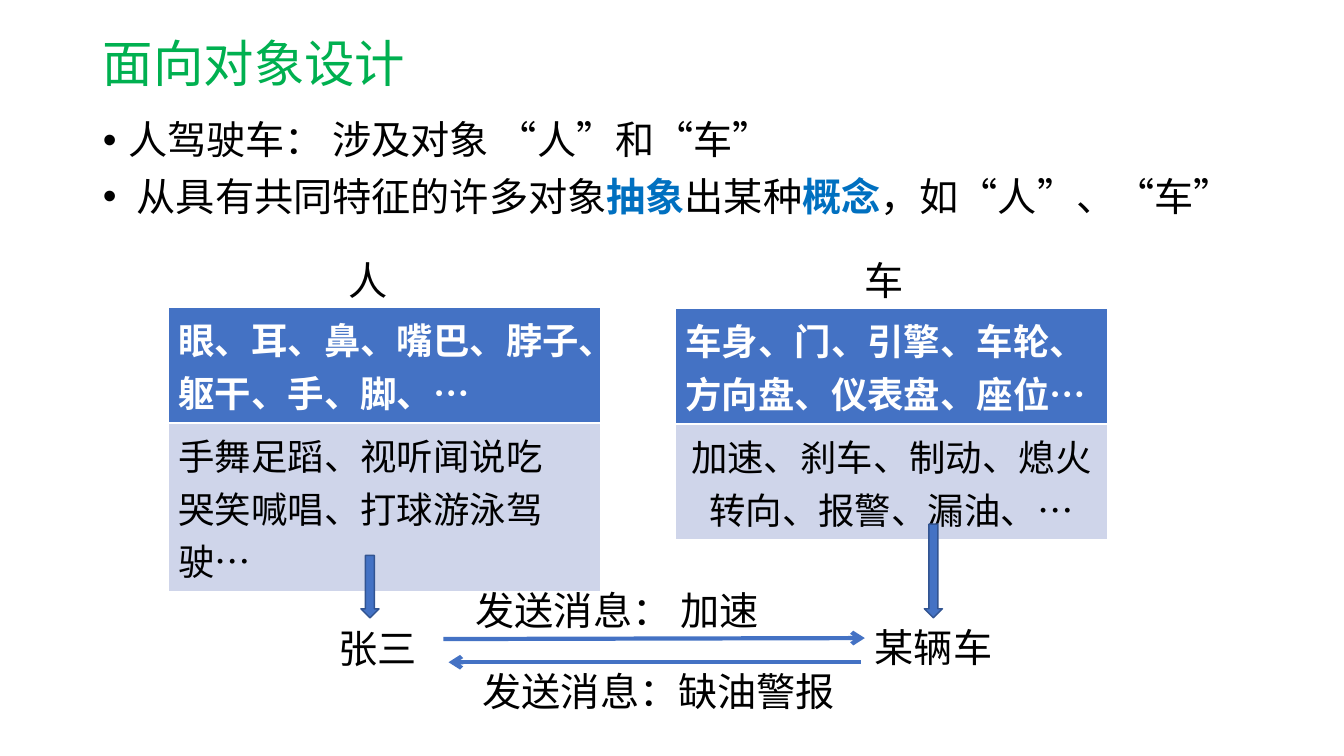
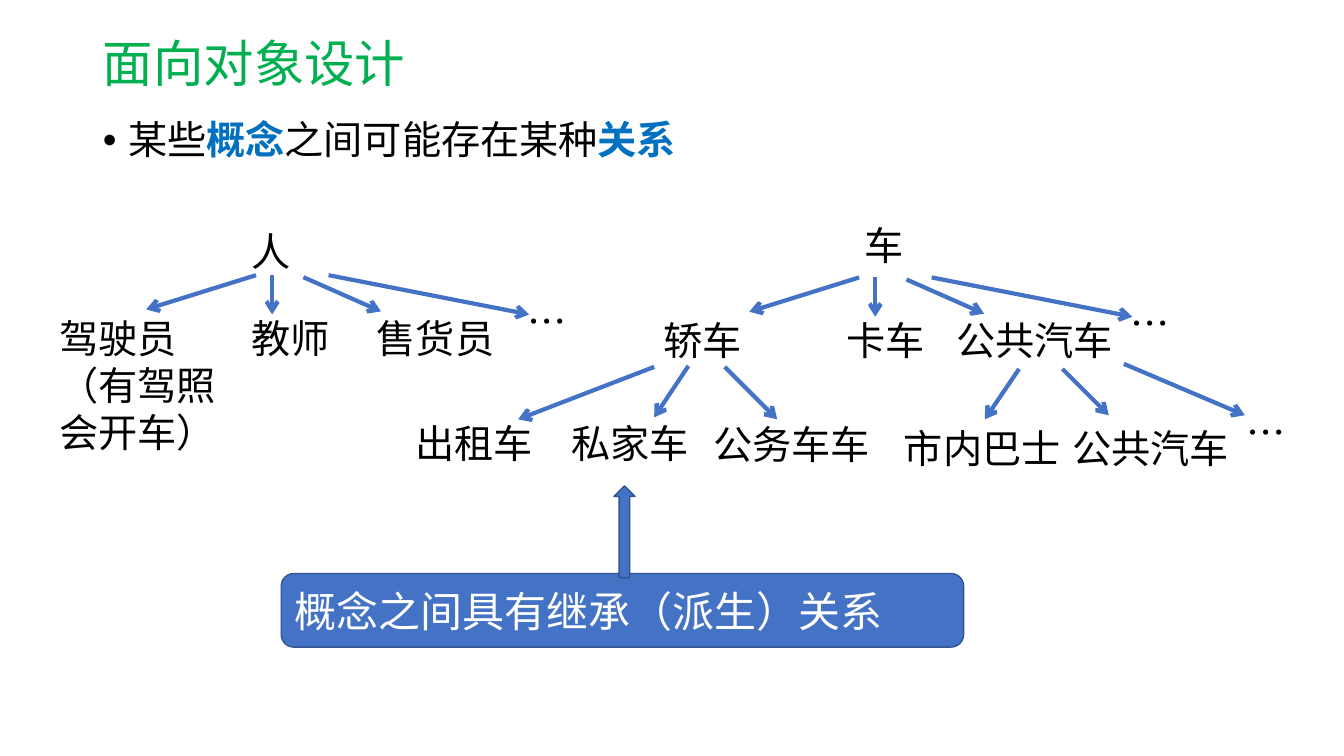
from dataclasses import dataclass

from lxml.etree import SubElement
from pptx import Presentation
from pptx.dml.color import RGBColor
from pptx.enum.lang import MSO_LANGUAGE_ID
from pptx.enum.shapes import MSO_CONNECTOR, MSO_SHAPE
from pptx.enum.text import MSO_ANCHOR, MSO_AUTO_SIZE, PP_ALIGN
from pptx.oxml.ns import qn
from pptx.util import Inches, Pt

WIDTH, HEIGHT = Inches(13.333), Inches(7.5)
COLUMNS, ROWS = 40, 30
LABEL_ROWS = 2.28


@dataclass(frozen=True)
class Theme:
    title: str = "00B050"
    text: str = "000000"
    emphasis: str = "0070C0"
    accent: str = "4472C4"
    outline: str = "325491"
    pale: str = "CFD5EA"
    inverse: str = "FFFFFF"
    title_size: int = 36
    callout_size: int = 30
    body_size: int = 28
    table_size: int = 26
    title_font: str = "Open Sans"
    body_font: str = "Noto Sans"
    label_font: str = "Noto Sans CJK SC"
    block_font: str = "Calibri"
    asian_font: str = "Noto Sans CJK SC"


THEME = Theme()


def col(n):
    return round(WIDTH * n / COLUMNS)


def row(n):
    return round(HEIGHT * n / ROWS)


def box(x, y, w, h):
    """Turn grid columns and rows into left, top, width and height."""
    return col(x), row(y), col(w), row(h)


def rgb(color):
    return RGBColor.from_string(color)


def format_run(r, size, font, color=THEME.text, bold=False):
    r.font.size = Pt(size)
    r.font.name = font
    r.font.bold = bold
    r.font.color.rgb = rgb(color)
    r.font.language_id = MSO_LANGUAGE_ID.SIMPLIFIED_CHINESE
    SubElement(r.font._element, qn("a:ea"), typeface=THEME.asian_font)


def format_frame(tf, size, font, color=THEME.text, bold=False, align=PP_ALIGN.LEFT):
    for p in tf.paragraphs:
        p.alignment = align
        for r in p.runs:
            format_run(r, size, font, color, bold)


def place(sp, bounds):
    sp.left, sp.top, sp.width, sp.height = bounds
    sp.text_frame.auto_size = MSO_AUTO_SIZE.NONE


def add_bullet(p, text):
    """Fill a bulleted paragraph; parts between asterisks are emphasised."""
    for i, part in enumerate(text.split("*")):
        if part:
            r = p.add_run()
            r.text = part
            strong = i % 2 == 1
            format_run(r, THEME.body_size, THEME.body_font,
                       THEME.emphasis if strong else THEME.text, strong)
    p.line_spacing = 0.9
    p.space_before = Pt(10)
    pPr = p._p.get_or_add_pPr()
    pPr.set("marL", str(Inches(0.25)))
    pPr.set("indent", str(-Inches(0.25)))
    SubElement(pPr, qn("a:buFont"), typeface="Arial")
    SubElement(pPr, qn("a:buChar"), char="•")


def add_slide(prs, bullets, body_rows):
    s = prs.slides.add_slide(prs.slide_layouts[1])
    title, body = s.placeholders
    place(title, box(2.76, 1.04, 34.5, 3.16))
    title.text_frame.text = "面向对象设计"
    title.text_frame.vertical_anchor = MSO_ANCHOR.MIDDLE
    title.text_frame.paragraphs[0].line_spacing = 0.9
    format_frame(title.text_frame, THEME.title_size, THEME.title_font, THEME.title)
    place(body, box(2.76, 4.6, 34.5, body_rows))
    tf = body.text_frame
    for i, text in enumerate(bullets):
        add_bullet(tf.add_paragraph() if i else tf.paragraphs[0], text)
    return s


def add_label(s, text, x, y, w, h=LABEL_ROWS, font=THEME.label_font):
    tf = s.shapes.add_textbox(*box(x, y, w, h)).text_frame
    tf.word_wrap = True
    tf.auto_size = MSO_AUTO_SIZE.SHAPE_TO_FIT_TEXT
    tf.text = text
    format_frame(tf, THEME.body_size, font)


def add_block(s, kind, x, y, w, h):
    sp = s.shapes.add_shape(kind, *box(x, y, w, h))
    sp.shadow.inherit = False
    sp.fill.solid()
    sp.fill.fore_color.rgb = rgb(THEME.accent)
    sp.line.color.rgb = rgb(THEME.outline)
    sp.line.width = Pt(1)
    return sp


def add_callout(s, text, x, y, w, h):
    sp = add_block(s, MSO_SHAPE.ROUNDED_RECTANGULAR_CALLOUT, x, y, w, h)
    for i, value in enumerate((0, -0.5, 0.17)):
        sp.adjustments[i] = value
    tf = sp.text_frame
    tf.word_wrap = True
    tf.vertical_anchor = MSO_ANCHOR.MIDDLE
    tf.text = text
    format_frame(tf, THEME.callout_size, THEME.block_font, THEME.inverse)


def add_arrow(s, x1, y1, x2, y2):
    c = s.shapes.add_connector(MSO_CONNECTOR.STRAIGHT,
                               col(x1), row(y1), col(x2), row(y2))
    c.line.color.rgb = rgb(THEME.accent)
    c.line.width = Pt(3)
    SubElement(c.line._get_or_add_ln(), qn("a:tailEnd"), type="arrow")
    SubElement(c._element.spPr, qn("a:effectLst"))


def add_class_table(s, x, y, attributes, methods, method_align):
    """Show a class as its attributes above its methods."""
    table = s.shapes.add_table(2, 1, *box(x, y, 12.87, 8.56)).table
    styles = ((attributes, THEME.accent, THEME.inverse, True, PP_ALIGN.LEFT),
              (methods, THEME.pale, THEME.text, False, method_align))
    for i, (text, fill, color, bold, align) in enumerate(styles):
        cell = table.cell(i, 0)
        cell.text = text
        cell.fill.solid()
        cell.fill.fore_color.rgb = rgb(fill)
        format_frame(cell.text_frame, THEME.table_size, THEME.block_font,
                     color, bold, align)


def add_branch(s, labels, arrows, dx=0, dy=0):
    """Draw child labels and the arrows to them, the arrows moved by dx, dy."""
    for label in labels:
        add_label(s, *label)
    for x1, y1, x2, y2 in arrows:
        add_arrow(s, x1 + dx, y1 + dy, x2 + dx, y2 + dy)


def build_message_slide(prs):
    s = add_slide(prs, ["人驾驶车： 涉及对象 “人”和“车”",
                        " 从具有共同特征的许多对象*抽象*出某种*概念*，如“人”、“车”"], 5.92)
    add_class_table(s, 5.01, 12.2, "眼、耳、鼻、嘴巴、脖子、躯干、手、脚、…",
                    "手舞足蹈、视听闻说吃\n哭笑喊唱、打球游泳驾驶…", PP_ALIGN.LEFT)
    add_class_table(s, 20.1, 12.24, "车身、门、引擎、车轮、方向盘、仪表盘、座位…",
                    "加速、刹车、制动、熄火\n转向、报警、漏油、…", PP_ALIGN.CENTER)
    for label in (("人", 10.08, 9.96, 3.12), ("车", 25.44, 9.96, 3.12),
                  ("张三", 9.78, 24.56, 3.12), ("某辆车", 25.74, 24.52, 4.65)):
        add_label(s, *label)
    add_block(s, MSO_SHAPE.DOWN_ARROW, 10.74, 22.04, 0.54, 2.48)
    add_block(s, MSO_SHAPE.DOWN_ARROW, 27.51, 20.8, 0.54, 3.72)
    add_arrow(s, 13.2, 25.36, 25.74, 25.32)
    add_label(s, "发送消息： 加速", 13.86, 23.08, 10.29, font=THEME.block_font)
    add_label(s, "发送消息：缺油警报", 14.07, 26.28, 11.4, font=THEME.block_font)
    add_arrow(s, 25.62, 26.28, 13.35, 26.28)


def build_inheritance_slide(prs):
    s = add_slide(prs, ["某些*概念*之间可能存在某种*关系*"], 2.8)
    add_label(s, "人", 7.2, 8.84, 3.12)
    add_label(s, "车", 25.44, 8.6, 3.12)
    fan = ((7.62, 10.92, 4.35, 12.28), (8.1, 10.92, 8.1, 12.48),
           (9.03, 11, 11.34, 12.36), (9.78, 10.92, 15.75, 12.48))
    people = (("驾驶员\n（有驾照会开车）", 1.47, 12.28, 5.73, 6.04),
              ("教师", 7.2, 12.28, 3.69), ("售货员", 10.92, 12.28, 4.83),
              ("…", 15.42, 11.6, 1.8))
    cars = (("轿车", 19.44, 12.36, 5.73), ("卡车", 24.9, 12.36, 3.69),
            ("公共汽车", 28.17, 12.36, 5.79), ("…", 33.36, 11.68, 1.8))
    add_branch(s, people, fan)
    add_branch(s, cars, fan, dx=17.95, dy=0.09)
    add_branch(s, (("市内巴士", 26.61, 16.64, 5.4), ("公共汽车", 31.62, 16.64, 5.79),
                   ("…", 36.81, 16, 1.8)),
               ((31.62, 14.64, 33, 16.48), (30.33, 14.64, 29.31, 16.64),
                (33.45, 14.44, 37.05, 16.48)))
    add_branch(s, (("公务车车", 20.94, 16.48, 5.79), ("出租车", 12.06, 16.44, 5.4),
                   ("私家车", 16.71, 16.44, 4.35)),
               ((19.47, 14.56, 15.42, 16.64), (20.49, 14.52, 19.47, 16.56),
                (21.57, 14.56, 23.13, 16.64)))
    add_callout(s, "概念之间具有继承（派生）关系", 8.37, 22.76, 20.31, 2.92)
    add_block(s, MSO_SHAPE.UP_ARROW, 18.27, 19.28, 0.63, 3.64)


def main():
    prs = Presentation()
    prs.slide_width, prs.slide_height = WIDTH, HEIGHT
    build_message_slide(prs)
    build_inheritance_slide(prs)
    prs.save("out.pptx")


if __name__ == "__main__":
    main()
